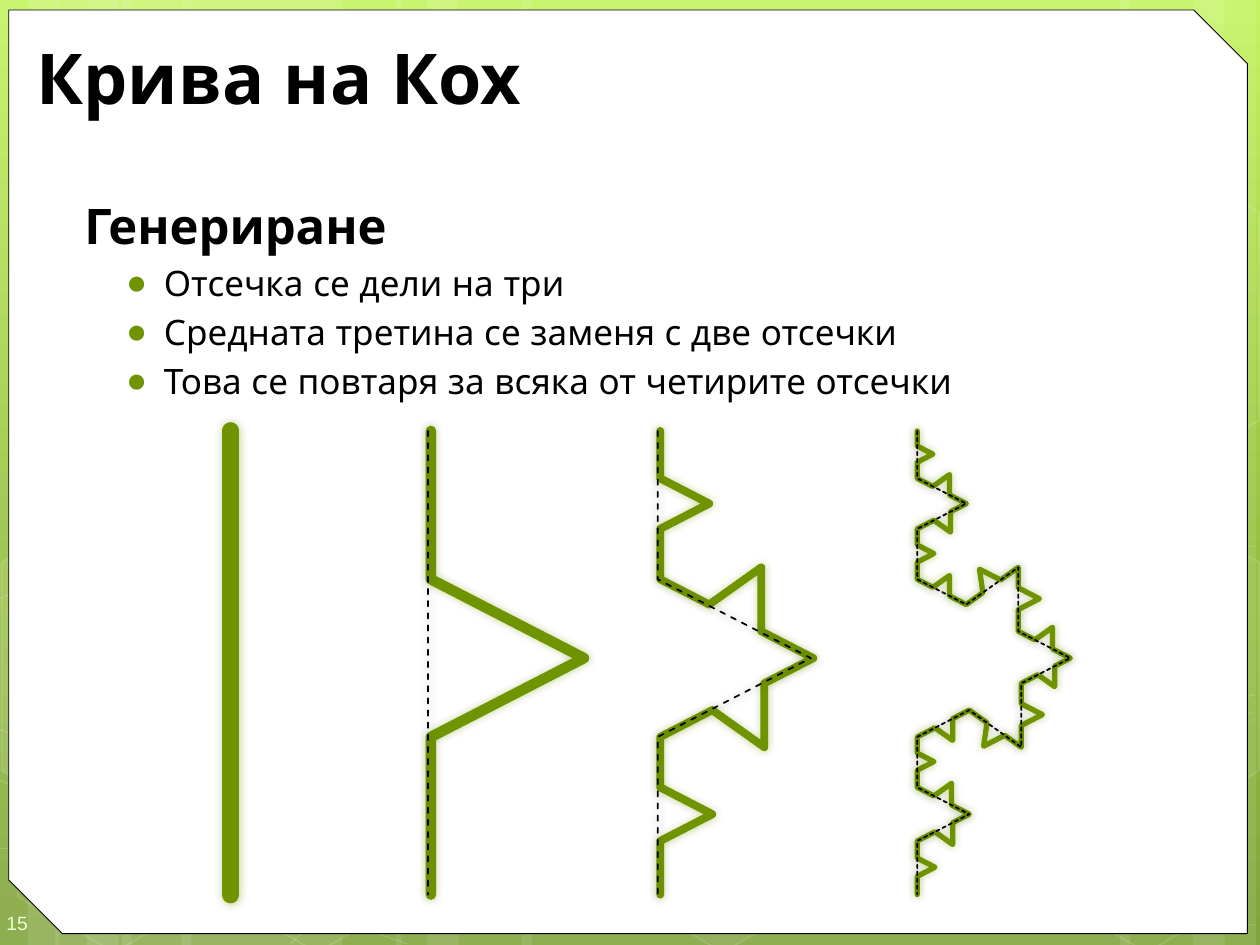
"""Build the slide on generating the Koch curve, drawing the curves by recursion."""
from copy import deepcopy
from itertools import pairwise
from lxml import etree
from pptx import Presentation
from pptx import util as u
from pptx.dml.color import RGBColor
from pptx.enum import dml, shapes, text
from pptx.oxml.ns import qn

WIDTH, HEIGHT = 10, 7.5
GREEN, BLACK, WHITE, PALE = "6F9400", "000000", "FFFFFF", "EEFFD6"
FONT = "Quicksand"
TITLE = "Крива на Кох"
HEADING = "Генериране"
STEPS = [
    "Отсечка се дели на три",
    "Средната третина се заменя с две отсечки",
    "Това се повтаря за всяка от четирите отсечки",
]
PAGE = "15"

CURVE_TOP, CURVE_LENGTH = 3.42, 3.68
CURVE_LEFTS = [1.83, 3.42, 5.24, 7.28]
CURVE_WIDTHS = [10, 6, 4.5, 3]
GUIDE_LEFTS = [3.4, 5.22, 7.28]
GUIDE_DASHES = [dml.MSO_LINE.DASH, dml.MSO_LINE.DASH, dml.MSO_LINE.SQUARE_DOT]
BEND = [0, 0.32, 0.49 - 0.33j, 0.66]

SKY = [(0, "C3F35F"), (0.62, "93BF3F"), (1, "81A53E")]
BAND_GROUPS = [(0.97, 1.75, 1), (1.44, 1.75, 1), (8.97, 1.75, -1), (4.14, 3.08, 1)]
NARROW_BANDS = [(-1, 0.5), (-0.75, 0.83)]
WAVES = [
    [(-0.04, 6.73), (1.79, 6.78), (4.47, 6.65), (7.8, 6.17), (9.96, 5.51)],
    [(-0.04, 4.77), (1.1, 4.31), (3.36, 3.87), (6.43, 3.87), (9.96, 4.34)],
    [(-0.05, 6.17), (1.6, 6.9), (3.23, 7.49)],
    [(-0.04, 5.78), (1.17, 6.16), (3.45, 6.73), (6.17, 7.18), (8.41, 7.36), (9.96, 7.34)],
    [(2.31, 7.49), (2.91, 6.91), (3.76, 6.39), (4.58, 6.09), (5.97, 5.78), (7.83, 5.62), (9.95, 5.66)],
]
CELL_WIDTH, CELL_HEIGHT, CELL_RADIUS = 1.75, 1.52, 0.88
CELL_TOP, HALF_COLUMN, ROW = 0.36, 0.805, 1.39
LEFT_COMB, RIGHT_COMB = 0.03, 7.42
CELLS = [
    (LEFT_COMB, 4, 0, 4, 8),
    (LEFT_COMB, 1, 1, 0, 12), (LEFT_COMB, 5, 1, 7, 8),
    (LEFT_COMB, 0, 2, 7, 8), (LEFT_COMB, 2, 2, 7, 8), (LEFT_COMB, 4, 2, 10, 12),
    (LEFT_COMB, 1, 3, 0, 12), (LEFT_COMB, 5, 3, 0, 12),
    (LEFT_COMB, 0, 4, 0, 12), (LEFT_COMB, 2, 4, 0, 12), (LEFT_COMB, 6, 4, 6, 12),
    (RIGHT_COMB, 1, 2, 7, 8), (RIGHT_COMB, 0, 3, 10, 12), (RIGHT_COMB, 1, 4, 0, 12),
]
HALF_CELLS = [(LEFT_COMB, -1, 3, 10, 1), (RIGHT_COMB, 2, 3, 4, -1), (RIGHT_COMB, 2, 1, 0, -1)]
HALF_OUTLINE = [(-0.1, -0.94), (0, -1), (0.87, -0.5), (0.87, 0.5), (0, 1), (-0.1, 0.94)]


def color(value):
    return RGBColor.from_string(value)


def inches(*lengths):
    return [u.Inches(length) for length in lengths]


def child(parent, tag, **attributes):
    return etree.SubElement(parent, qn(tag), {k: str(v) for k, v in attributes.items()})


def paint(shape, fill=None, fill_alpha=100, line=None, width=1, line_alpha=100):
    shape.shadow.inherit = False
    for target, value, alpha, place in (
            (shape.fill, fill, fill_alpha, qn("a:solidFill")),
            (shape.line.fill, line, line_alpha, f"{qn('a:ln')}/{qn('a:solidFill')}")):
        if not value or not alpha:
            target.background()
            continue
        target.solid()
        target.fore_color.rgb = color(value)
        if alpha < 100:
            child(shape.element.spPr.find(place)[0], "a:alpha", val=alpha * 1000)
    if line:
        shape.line.width = u.Pt(width)
    return shape


def preset(slide, kind, *box):
    return slide.shapes.add_shape(kind, *inches(*box))


def outline(slide, points, close=False):
    start, *rest = [inches(x, y) for x, y in points]
    builder = slide.shapes.build_freeform(*start)
    builder.add_line_segments(rest, close=close)
    return builder.convert_to_shape()


def smooth(anchors, steps=12):
    """Return points of a Catmull-Rom curve through the anchors."""
    padded = [anchors[0], *anchors, anchors[-1]]
    curve = [anchors[0]]
    for i in range(len(anchors) - 1):
        for t in (n / steps for n in range(1, steps + 1)):
            curve.append(tuple(
                b + t * (c - a) / 2 + t * t * (2 * a - 5 * b + 4 * c - d) / 2
                + t ** 3 * (3 * b - a - 3 * c + d) / 2
                for a, b, c, d in zip(*padded[i:i + 4])))
    return curve


def koch(level, left):
    """Return the curve after the given number of replacements, from top to bottom."""
    start = complex(left, CURVE_TOP)
    corners = [start, start + CURVE_LENGTH * 1j]
    for _ in range(level):
        bent = [a + (b - a) * share for a, b in pairwise(corners) for share in BEND]
        corners = bent + corners[-1:]
    return [(corner.real, corner.imag) for corner in corners]


def draw_koch(slide, level, left, value, width, dash=None):
    curve = paint(outline(slide, koch(level, left)), line=value, width=width)
    if dash:
        curve.line.dash_style = dash
    properties = curve.element.spPr
    stroke = properties.find(qn("a:ln"))
    stroke.set("cap", "rnd")
    child(stroke, "a:round")
    glow = child(properties.find(qn("a:effectLst")), "a:outerShdw", blurRad=u.Pt(5), dist=0, dir=0)
    child(child(glow, "a:srgbClr", val=value), "a:alpha", val=40000)


def draw_sky(slide):
    sky = slide.background.fill
    sky.gradient()
    sky.gradient_angle = 270
    first = slide.element.find(f".//{qn('a:gs')}")
    first.addnext(deepcopy(first))
    for stop, (position, value) in zip(sky.gradient_stops, SKY):
        stop.position = position
        stop.color.rgb = color(value)


def draw_bands(slide):
    for edge, wide, direction in BAND_GROUPS:
        for offset, width in [(0, wide), *NARROW_BANDS]:
            left = edge + offset if direction > 0 else edge - offset - width
            paint(preset(slide, shapes.MSO_SHAPE.RECTANGLE, left, 0, width, HEIGHT), WHITE, 10)


def draw_honeycomb(slide):
    for comb, column, row, fill_alpha, line_alpha in CELLS:
        cell = preset(slide, shapes.MSO_SHAPE.HEXAGON, comb + column * HALF_COLUMN,
                      CELL_TOP + row * ROW, CELL_WIDTH, CELL_HEIGHT)
        cell.adjustments[0] = 0.285
        cell.rotation = 30
        paint(cell, WHITE, fill_alpha, WHITE, 1, line_alpha)
    for comb, column, row, fill_alpha, side in HALF_CELLS:
        x = comb + column * HALF_COLUMN + CELL_WIDTH / 2
        y = CELL_TOP + row * ROW + CELL_HEIGHT / 2
        corners = [(x + side * CELL_RADIUS * dx, y + CELL_RADIUS * dy) for dx, dy in HALF_OUTLINE]
        paint(outline(slide, corners, True), WHITE, fill_alpha, WHITE, 1, 12)


def draw_sheet(slide):
    sheet = preset(slide, shapes.MSO_SHAPE.SNIP_2_DIAG_RECTANGLE, 0.07, 0.08, 9.83, 7.33)
    sheet.adjustments[0], sheet.adjustments[1] = 0, 0.058
    paint(sheet, WHITE, line=BLACK, width=0.5)


def write(paragraph, words, size, bold=False, value=BLACK, font=FONT):
    paragraph.text = words
    paragraph.alignment = text.PP_ALIGN.LEFT
    style = paragraph.runs[0].font
    style.name, style.size, style.bold = font, u.Pt(size), bold
    style.color.rgb = color(value)


def bring_forward(holder, *box):
    holder.left, holder.top, holder.width, holder.height = inches(*box)
    holder.text_frame.auto_size = text.MSO_AUTO_SIZE.NONE
    holder.element.getparent().append(holder.element)


def indent(paragraph, margin, hanging, bullet=None):
    properties = paragraph._p.get_or_add_pPr()
    properties.set("marL", str(u.Inches(margin)))
    properties.set("indent", str(u.Inches(hanging)))
    if bullet:
        child(child(properties, "a:buClr"), "a:srgbClr", val=GREEN)
        child(properties, "a:buFont", typeface="Arial")
        child(properties, "a:buChar", char=bullet)
    else:
        child(properties, "a:buNone")


def write_texts(slide):
    title, body = slide.placeholders
    bring_forward(title, 0.19, 0.25, 9.47, 0.71)
    title.text_frame.vertical_anchor = text.MSO_ANCHOR.MIDDLE
    write(title.text_frame.paragraphs[0], TITLE, 40, True)
    bring_forward(body, 0.5, 1.5, 9.42, 5.92)
    heading = body.text_frame.paragraphs[0]
    indent(heading, 0.07, 0)
    heading.space_before = u.Pt(0)
    write(heading, HEADING, 28, True)
    for words in STEPS:
        step = body.text_frame.add_paragraph()
        step.level = 1
        indent(step, 0.7, -0.3, "●")
        write(step, words, 20)
    page = slide.shapes.add_textbox(*inches(0, 7.1, 0.58, 0.4)).text_frame
    page.word_wrap = True
    page.vertical_anchor = text.MSO_ANCHOR.MIDDLE
    page.margin_left, page.margin_top, page.margin_right, page.margin_bottom = inches(0.05, 0.15, 0, 0.1)
    write(page.paragraphs[0], PAGE, 11, value=PALE, font="Arial")


def main():
    deck = Presentation()
    deck.slide_width, deck.slide_height = inches(WIDTH, HEIGHT)
    slide = deck.slides.add_slide(deck.slide_layouts[1])
    draw_sky(slide)
    draw_bands(slide)
    for wave in WAVES:
        paint(outline(slide, smooth(wave)), line=WHITE, width=0.5, line_alpha=20)
    draw_honeycomb(slide)
    draw_sheet(slide)
    write_texts(slide)
    for level, (left, width) in enumerate(zip(CURVE_LEFTS, CURVE_WIDTHS)):
        draw_koch(slide, level, left, GREEN, width)
    for level, (left, dash) in enumerate(zip(GUIDE_LEFTS, GUIDE_DASHES)):
        draw_koch(slide, level, left, BLACK, 1, dash)
    deck.save("out.pptx")


if __name__ == "__main__":
    main()
